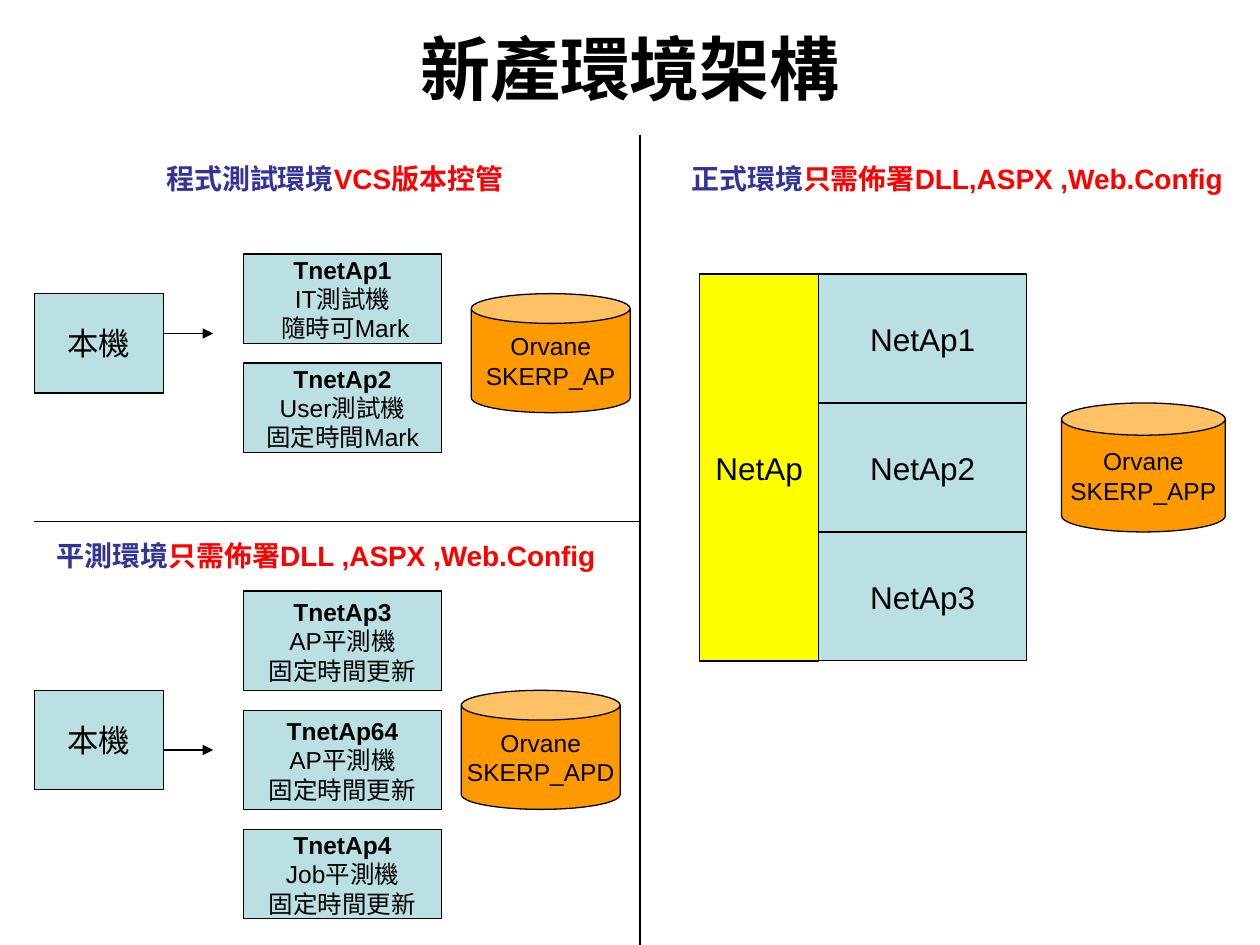
import pptx
import pptx.util
import pptx.dml.color
import pptx.enum.shapes
import pptx.enum.text
import pptx.oxml
import pptx.oxml.ns

Pt = pptx.util.Pt
SHAPES = pptx.enum.shapes.MSO_SHAPE
ANCHOR = pptx.enum.text.MSO_ANCHOR
ALIGN = pptx.enum.text.PP_ALIGN

COLORS = {
    "ink": "000000",
    "server": "BBE0E3",
    "database": "FF9900",
    "cluster": "FFFF00",
    "environment": "333399",
    "note": "FF0000",
}


class SlideBuilder:
    font_name = "Arial"
    title_font = "Noto Sans CJK TC"
    line_width = 0.75

    def __init__(self, slide):
        self.slide = slide

    def color(self, name):
        return pptx.dml.color.RGBColor.from_string(COLORS[name])

    def format(self, paragraph, size, bold=False, name=None):
        paragraph.font.name = name or self.font_name
        paragraph.font.size = Pt(size)
        paragraph.font.bold = bold
        paragraph.font.color.rgb = self.color("ink")

    def title(self, text, left, top, width, height):
        shape = self.slide.shapes.title
        shape.left, shape.top = Pt(left), Pt(top)
        shape.width, shape.height = Pt(width), Pt(height)
        frame = shape.text_frame
        frame.text = text
        frame.auto_size = pptx.enum.text.MSO_AUTO_SIZE.NONE
        frame.vertical_anchor = ANCHOR.MIDDLE
        frame.margin_bottom = Pt(60)
        paragraph = frame.paragraphs[0]
        paragraph.alignment = ALIGN.CENTER
        self.format(paragraph, 40, True, self.title_font)

    def heading(self, environment, note, left, top, width):
        shape = self.slide.shapes.add_textbox(Pt(left), Pt(top), Pt(width), Pt(26.6))
        shape.text_frame.word_wrap = True
        paragraph = shape.text_frame.paragraphs[0]
        self.format(paragraph, 16, True)
        for text, color in ((environment, "environment"), (note, "note")):
            run = paragraph.add_run()
            run.text = text
            run.font.color.rgb = self.color(color)

    def node(self, lines, left, top, width, height, fill="server", size=18,
             kind=SHAPES.RECTANGLE, bold_first=False):
        shape = self.slide.shapes.add_shape(kind, Pt(left), Pt(top), Pt(width), Pt(height))
        shape.shadow.inherit = False
        shape.fill.solid()
        shape.fill.fore_color.rgb = self.color(fill)
        shape.line.color.rgb = self.color("ink")
        shape.line.width = Pt(self.line_width)
        frame = shape.text_frame
        frame.word_wrap = False
        frame.vertical_anchor = ANCHOR.MIDDLE
        frame.text = "\n".join(lines)
        for index, paragraph in enumerate(frame.paragraphs):
            paragraph.alignment = ALIGN.CENTER
            self.format(paragraph, size, bold_first and index == 0)

    def database(self, schema, left, top, width, height):
        self.node(("Orvane", schema), left, top, width, height,
                  "database", 14, SHAPES.CAN)

    def server_stack(self, servers, top):
        for height, *lines in servers:
            self.node(lines, 139, top, 113.5, height, size=14, bold_first=True)
            top += height + 11.3

    def line(self, start, end, arrow=False):
        connector = self.slide.shapes.add_connector(
            pptx.enum.shapes.MSO_CONNECTOR.STRAIGHT,
            Pt(start[0]), Pt(start[1]), Pt(end[0]), Pt(end[1]))
        connector.line.color.rgb = self.color("ink")
        connector.line.width = Pt(self.line_width)
        if arrow:
            head = pptx.oxml.parse_xml(
                f'<a:tailEnd {pptx.oxml.ns.nsdecls("a")} type="triangle"/>')
            connector.line._get_or_add_ln().append(head)
        effects = pptx.oxml.parse_xml(f'<a:effectLst {pptx.oxml.ns.nsdecls("a")}/>')
        connector._element.spPr.append(effects)


def main():
    presentation = pptx.Presentation()
    presentation.slide_width, presentation.slide_height = Pt(720), Pt(540)
    slide = presentation.slides.add_slide(presentation.slide_layouts[5])
    builder = SlideBuilder(slide)

    builder.title("新產環境架構", 36, 21.6, 648, 90)

    divider_x, divider_y = 365.8, 298.2
    builder.line((divider_x, 77), (divider_x, 540))
    builder.line((19.6, divider_y), (divider_x, divider_y))

    builder.heading("程式測試環境", "VCS版本控管", 88, 88.6, 238)
    builder.heading("正式環境", "只需佈署DLL,ASPX ,Web.Config", 388, 88.6, 332)
    builder.heading("平測環境", "只需佈署DLL ,ASPX ,Web.Config", 25.4, 304, 332)

    for box_top, arrow_y in ((167.8, 190.6), (394.5, 428.6)):
        builder.node(("本機",), 19.6, box_top, 73.7, 56.8)
        builder.line((93.3, arrow_y), (121.8, arrow_y), arrow=True)

    builder.server_stack((
        (51, "TnetAp1", "IT測試機", " 隨時可Mark"),
        (51, "TnetAp2", "User測試機", "固定時間Mark"),
    ), 145.2)
    builder.server_stack((
        (56.8, "TnetAp3", "AP平測機", "固定時間更新"),
        (56.8, "TnetAp64", "AP平測機", "固定時間更新"),
        (51, "TnetAp4", "Job平測機", "固定時間更新"),
    ), 337.8)

    cluster_top, row_height = 156.6, 73.7
    builder.node(("NetAp",), 399.8, cluster_top, 68, 3 * row_height, "cluster")
    for row in range(3):
        builder.node((f"NetAp{row + 1}",), 467.8, cluster_top + row * row_height,
                     118.8, row_height)

    builder.database("SKERP_AP", 269.3, 167.8, 90.8, 68)
    builder.database("SKERP_APD", 263.6, 394.5, 90.8, 68)
    builder.database("SKERP_APP", 606.6, cluster_top + row_height, 93.6, row_height)

    presentation.save("out.pptx")


if __name__ == "__main__":
    main()
